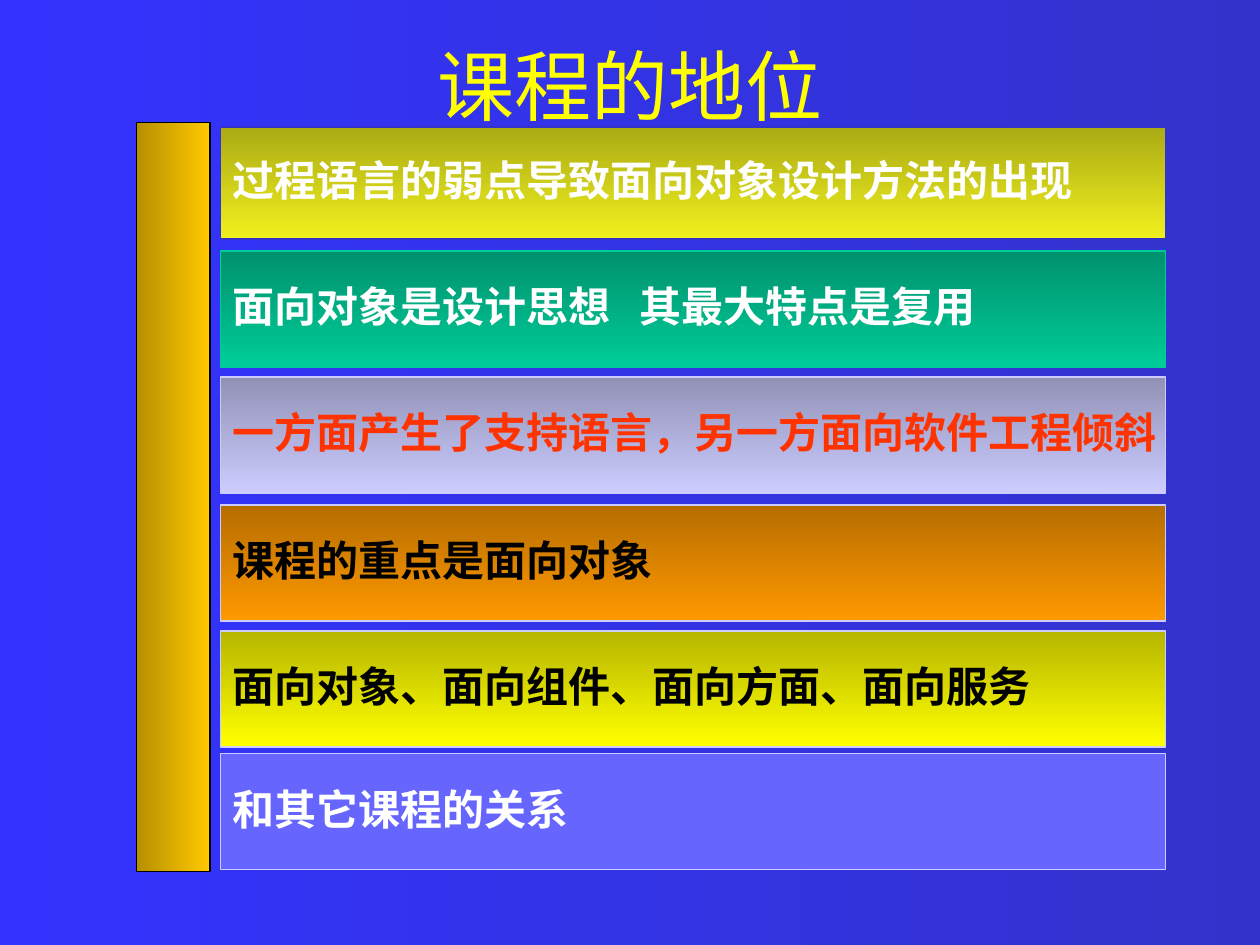
from pptx import Presentation
from pptx.dml.color import RGBColor
from pptx.enum.shapes import MSO_SHAPE as Shape
from pptx.enum.text import MSO_ANCHOR as Anchor, PP_ALIGN as Align
from pptx.oxml.ns import qn
from pptx.util import Pt
from lxml.etree import SubElement

SANS = "Noto Sans CJK SC"
BARS = [
    (72.7, 64, "F0F01E", "3333CC", "FFFFFF", "过程语言的弱点导致面向对象设计方法的出现"),
    (143.3, 66.3, "00CC99", "00CC99", "FFFFFF", "面向对象是设计思想   其最大特点是复用"),
    (215.3, 66.3, "CCCCFF", "CCCCFF", "FF3300", "一方面产生了支持语言，另一方面向软件工程倾斜"),
    (288.7, 66.3, "FF9900", "CCCCFF", "000000", "课程的重点是面向对象"),
    (360.7, 66.3, "FFFF00", "CCCCFF", "000000", "面向对象、面向组件、面向方面、面向服务"),
    (430.6, 66.3, "6666FF", "CCCCFF", "FFFFFF", "和其它课程的关系"),
]


def rgb(code):
    """Turn a hex string into a colour."""
    return RGBColor.from_string(code)


def blend(fill, first, last, angle):
    """Set a two-stop linear gradient."""
    fill.gradient()
    fill.gradient_angle = angle
    for stop, code in zip(fill.gradient_stops, (first, last)):
        stop.color.rgb = rgb(code)


def shade(shape, code, angle):
    """Fill a shape from a dark shade of a colour to the colour itself."""
    blend(shape.fill, code, code, angle)
    dark = shape._element.xpath(".//a:gs//a:srgbClr")[0]
    SubElement(dark, qn("a:shade")).set("val", "46275")


def style(par, face, size, code, bold=False):
    """Format the runs of a paragraph."""
    for run in par.runs:
        font = run.font
        font.name, font.size, font.bold = face, Pt(size), bold
        font.color.rgb = rgb(code)
        SubElement(font._element, qn("a:ea")).set("typeface", SANS)


def add_rect(slide, box, edge, width):
    """Add a rectangle with an outline and no shadow."""
    shape = slide.shapes.add_shape(Shape.RECTANGLE, *map(Pt, box))
    shape.shadow.inherit = False
    shape.line.color.rgb = rgb(edge)
    shape.line.width = Pt(width)
    return shape


def add_title(slide, box, text):
    """Add the centred title."""
    frame = slide.shapes.add_textbox(*map(Pt, box)).text_frame
    frame.word_wrap = True
    frame.vertical_anchor = Anchor.MIDDLE
    frame.text = text
    par = frame.paragraphs[0]
    par.alignment = Align.CENTER
    style(par, "Times New Roman", 44, "FFFF00")


def add_post(slide, box):
    """Add the golden post beside the bars."""
    shade(add_rect(slide, box, "000000", 0.75), "FFC800", 0)


def add_bar(slide, box, code, edge, ink, text, plain):
    """Add one bar with its line of text."""
    bar = add_rect(slide, box, edge, 1)
    if plain:
        bar.fill.solid()
        bar.fill.fore_color.rgb = rgb(code)
    else:
        shade(bar, code, 270)
    frame = bar.text_frame
    frame.word_wrap = False
    frame.vertical_anchor = Anchor.MIDDLE
    frame.text = text
    par = frame.paragraphs[0]
    par.alignment = Align.LEFT
    par.line_spacing = 0.9
    style(par, SANS, 24, ink, True)


def add_bars(slide, left, width):
    """Stack the bars, the last one in a plain colour."""
    for top, high, code, edge, ink, text in BARS:
        plain = text == BARS[-1][-1]
        add_bar(slide, (left, top, width, high), code, edge, ink, text, plain)


def main():
    """Build and save the slide."""
    prs = Presentation()
    prs.slide_width, prs.slide_height = Pt(720), Pt(540)
    slide = prs.slides.add_slide(prs.slide_layouts[6])
    blend(slide.background.fill, "3333FF", "3333CC", 0)
    add_title(slide, (0, 3.6, 720, 90), "课程的地位")
    add_post(slide, (78, 70, 42, 428))
    add_bars(slide, 126, 540)
    prs.save("out.pptx")


if __name__ == "__main__":
    main()
